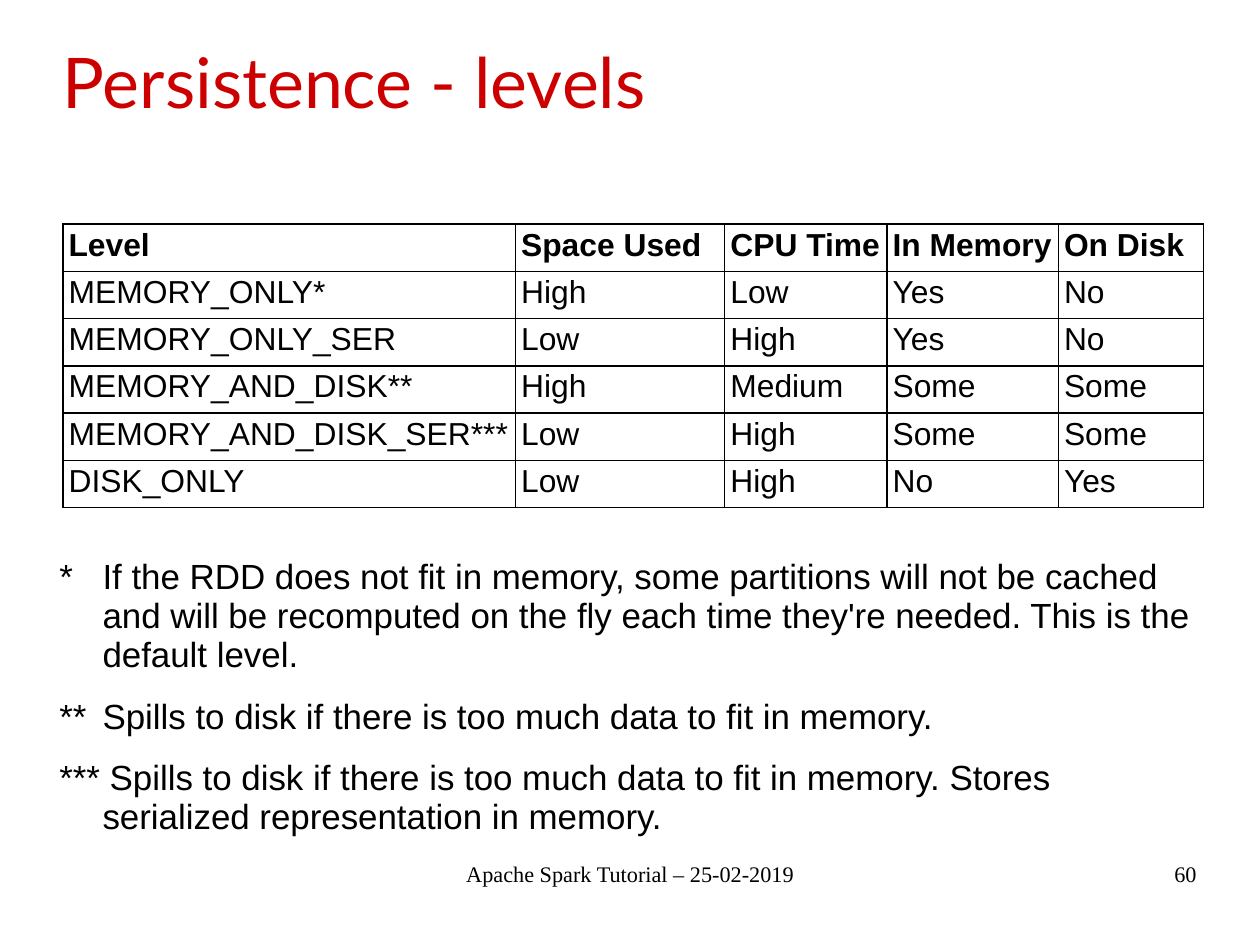
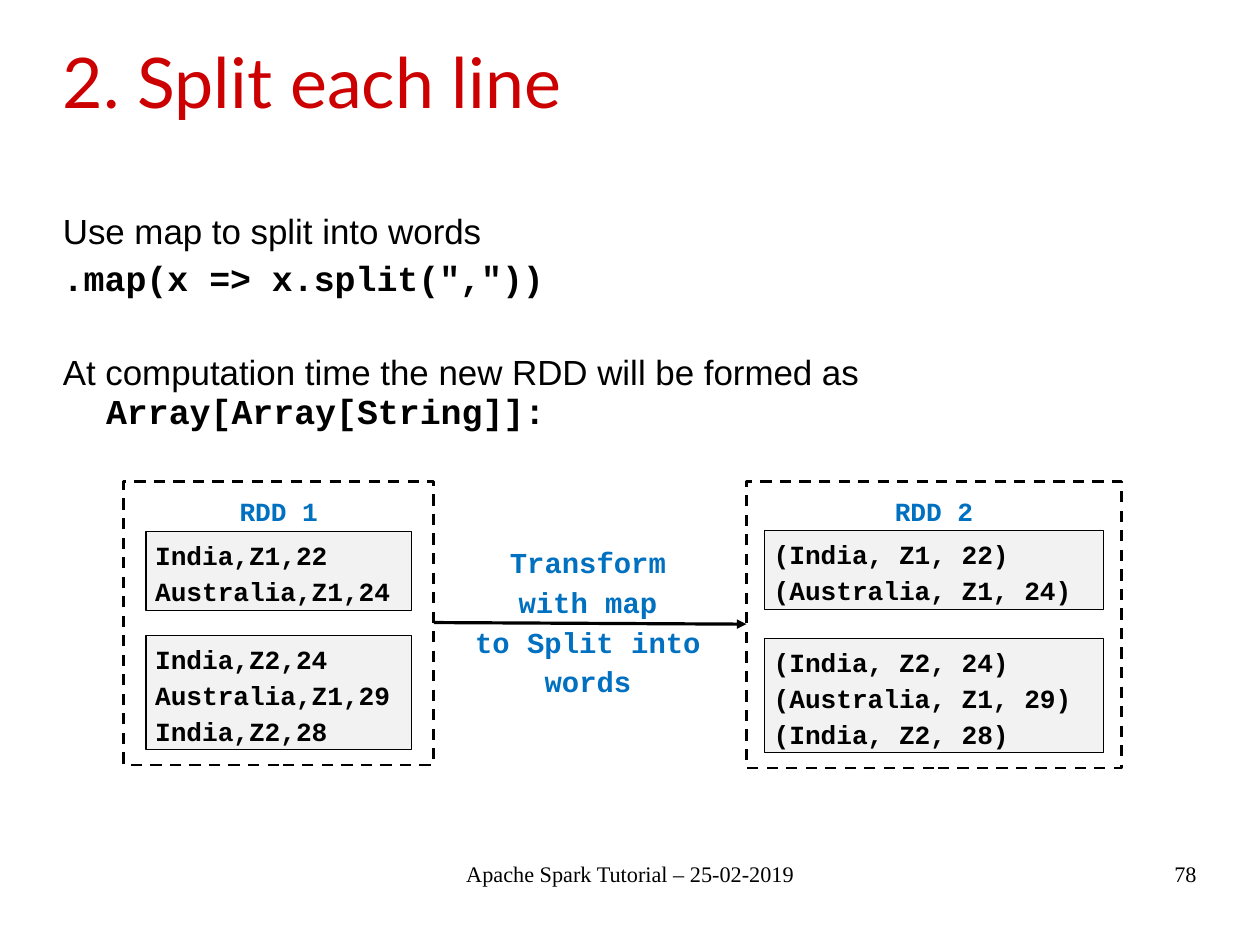
from lxml import etree
from pptx import Presentation
from pptx.dml.color import RGBColor
from pptx.enum.dml import MSO_LINE
from pptx.enum.shapes import MSO_CONNECTOR, MSO_SHAPE
from pptx.enum.text import MSO_ANCHOR, MSO_AUTO_SIZE, PP_ALIGN
from pptx.oxml.ns import qn
from pptx.util import Pt

RED = RGBColor(0xCC, 0x00, 0x00)
BLUE = RGBColor(0x00, 0x70, 0xC0)
BLACK = RGBColor(0x00, 0x00, 0x00)
GREY = RGBColor(0xF2, 0xF2, 0xF2)
LEFT, MID, RIGHT = PP_ALIGN.LEFT, PP_ALIGN.CENTER, PP_ALIGN.RIGHT
TOP, CENTER = MSO_ANCHOR.TOP, MSO_ANCHOR.MIDDLE
DASH = MSO_LINE.DASH
RECT = MSO_SHAPE.RECTANGLE
STRAIGHT = MSO_CONNECTOR.STRAIGHT
FIXED = MSO_AUTO_SIZE.NONE
SANS, MONO, HEAD, SERIF = "Arial", "Courier New", "Lato", "Times New Roman"
FOOTER = "Apache Spark Tutorial – 25-02-2019"
PAD = 5.7


class Deck:
    """Shared style plus the slide being built."""

    def __init__(self):
        self.prs = Presentation()
        self.prs.slide_width, self.prs.slide_height = Pt(793.7), Pt(595.3)

    def start(self, title, number):
        self.slide = self.prs.slides.add_slide(self.prs.slide_layouts[1])
        self.shapes = self.slide.shapes
        head = self.shapes.title
        self.place(head, 39.6, 0.7, 714.2, 99.4)
        self.frame(head, (0, 13.7, 0, 0), CENTER)
        self.put(head, [title], HEAD, 44, RED, space=0.69)
        self.note(FOOTER, 271.4, 251.3, MID)
        self.note(str(number), 568.8, 185, RIGHT)

    def place(self, shape, x, y, w, h):
        shape.left, shape.top = Pt(x), Pt(y)
        shape.width, shape.height = Pt(w), Pt(h)

    def frame(self, shape, pad, anchor=TOP):
        tf = shape.text_frame
        tf.word_wrap, tf.auto_size = True, FIXED
        tf.vertical_anchor = anchor
        (tf.margin_left, tf.margin_top,
         tf.margin_right, tf.margin_bottom) = map(Pt, pad)

    def style(self, font, name, size, color, bold):
        font.name, font.size, font.bold = name, Pt(size), bold
        font.color.rgb = color

    def put(self, shape, lines, name, size, color=BLACK, bold=False,
            align=LEFT, space=1.0):
        tf = shape.text_frame
        for i, line in enumerate(lines):
            para = tf.add_paragraph() if i else tf.paragraphs[0]
            para.text = line
            para.alignment, para.line_spacing = align, space
            para.space_before = Pt(0)
            self.style(para.font, name, size, color, bold)

    def text(self, lines, x, y, w, h, pad, *args, **kw):
        box = self.shapes.add_textbox(Pt(x), Pt(y), Pt(w), Pt(h))
        self.frame(box, (pad,) * 4)
        self.put(box, lines, *args, **kw)

    def note(self, line, x, w, align):
        self.text([line], x, 542.2, w, 41, 0, SERIF, 14, align=align)

    def body(self, x, y, w, h, items):
        """Each item is a gap above and its runs of (text, font)."""
        box = self.slide.placeholders[1]
        self.place(box, x, y, w, h)
        self.frame(box, (0, 12.2, 0, 0))
        for i, (gap, runs) in enumerate(items):
            tf = box.text_frame
            para = tf.add_paragraph() if i else tf.paragraphs[0]
            props = para._p.get_or_add_pPr()
            props.set("marL", str(Pt(27.2)))
            props.set("indent", str(Pt(-27.2)))
            etree.SubElement(props, qn("a:buNone"))
            para.alignment, para.line_spacing = LEFT, 0.93
            para.space_before = Pt(gap)
            for words, name in runs:
                run = para.add_run()
                run.text = words
                font = run.font if len(runs) > 1 else para.font
                self.style(font, name, 22, BLACK, name == MONO)

    def table(self, x, y, widths, height, rows):
        grid = self.shapes.add_table(
            len(rows), len(widths), Pt(x), Pt(y),
            Pt(sum(widths)), Pt(height * len(rows))).table
        grid.first_row = grid.horz_banding = False
        for col, width in zip(grid.columns, widths):
            col.width = Pt(width)
        for r, row in enumerate(rows):
            grid.rows[r].height = Pt(height)
            for c, words in enumerate(row):
                cell = grid.cell(r, c)
                cell.margin_left = cell.margin_right = Pt(3.6)
                cell.margin_top = cell.margin_bottom = Pt(3.6)
                self.put(cell, [words], SANS, 20, bold=r == 0, space=0.93)
                self.edge(cell)
                cell.fill.background()

    def edge(self, cell):
        props = cell._tc.get_or_add_tcPr()
        for side in ("lnL", "lnR", "lnT", "lnB"):
            line = etree.SubElement(props, qn("a:" + side), w=str(Pt(1)))
            fill = etree.SubElement(line, qn("a:solidFill"))
            etree.SubElement(fill, qn("a:srgbClr"), val=str(BLACK))

    def box(self, lines, x, y, w, h, color=BLACK, fill=None, width=0.75,
            dash=None, anchor=CENTER, align=LEFT):
        shape = self.shapes.add_shape(RECT, Pt(x), Pt(y), Pt(w), Pt(h))
        shape.shadow.inherit = False
        if fill is None:
            shape.fill.background()
        else:
            shape.fill.solid()
            shape.fill.fore_color.rgb = fill
        shape.line.color.rgb, shape.line.width = BLACK, Pt(width)
        if dash:
            shape.line.dash_style = dash
        self.frame(shape, (PAD,) * 4, anchor)
        self.put(shape, lines, MONO, 16.5, color, True, align, 1.15)

    def rdd(self, name, x, w, h, inset, parts):
        """A dashed data set holding (top, lines) partitions."""
        self.box([name], x, 303.1, w, h, BLUE, width=1.75, dash=DASH,
                 anchor=TOP, align=MID)
        for top, lines in parts:
            self.box(lines, x + inset, top, w - 2 * inset,
                     5.1 + 22.3 * len(lines), fill=GREY)

    def arrow(self, x1, y1, x2, y2):
        line = self.shapes.add_connector(
            STRAIGHT, Pt(x1), Pt(y1), Pt(x2), Pt(y2))
        line.line.color.rgb, line.line.width = BLACK, Pt(2)
        props = line._element.spPr
        etree.SubElement(props.find(qn("a:ln")), qn("a:tailEnd"),
                         type="triangle")
        etree.SubElement(props, qn("a:effectLst"))


def main():
    deck = Deck()

    # Storage levels
    deck.start("Persistence - levels", 60)
    deck.body(37.4, 339.8, 718.6, 169.2, [
        (0, [("*\tIf the RDD does not fit in memory, some partitions will "
              "not be cached and will be recomputed on the fly each time "
              "they're needed. This is the default level.", SANS)]),
        (14.2, [("**\tSpills to disk if there is too much data to fit in "
                 "memory.", SANS)]),
        (14.2, [("*** Spills to disk if there is too much data to fit in "
                 "memory. Stores serialized representation in memory.",
                 SANS)]),
    ])
    deck.table(39.6, 141.1, (285.1, 131.8, 102.2, 108, 91.4), 29.8, [
        ("Level", "Space Used", "CPU Time", "In Memory", "On Disk"),
        ("MEMORY_ONLY*", "High", "Low", "Yes", "No"),
        ("MEMORY_ONLY_SER", "Low", "High", "Yes", "No"),
        ("MEMORY_AND_DISK**", "High", "Medium", "Some", "Some"),
        ("MEMORY_AND_DISK_SER***", "Low", "High", "Some", "Some"),
        ("DISK_ONLY", "Low", "High", "No", "Yes"),
    ])

    # Splitting lines
    deck.start("2. Split each line", 78)
    deck.body(39.6, 122.4, 718.6, 399.6, [
        (0, [("Use map to split into words", SANS)]),
        (4.6, [('.map(x => x.split(","))', MONO)]),
        (35, [("At computation time the new RDD will be formed as ", SANS),
              ("Array[Array[String]]:", MONO)]),
    ])
    deck.rdd("RDD 1", 78, 195.1, 178.8, 14, [
        (334.8, ["India,Z1,22", "Australia,Z1,24"]),
        (400.3, ["India,Z2,24", "Australia,Z1,29", "India,Z2,28"]),
    ])
    deck.rdd("RDD 2", 470.2, 236.2, 180.7, 11.5, [
        (334.1, ["(India, Z1, 22)", "(Australia, Z1, 24)"]),
        (402.3, ["(India, Z2, 24)", "(Australia, Z1, 29)",
                 "(India, Z2, 28)"]),
    ])
    deck.arrow(273.3, 392.2, 470.2, 393.2)
    deck.text(["Transform with map", "to Split into words"],
              291.6, 334.1, 157.7, 113, PAD, MONO, 18.2, BLUE, True, MID, 1.15)

    deck.prs.save("out.pptx")


if __name__ == "__main__":
    main()
